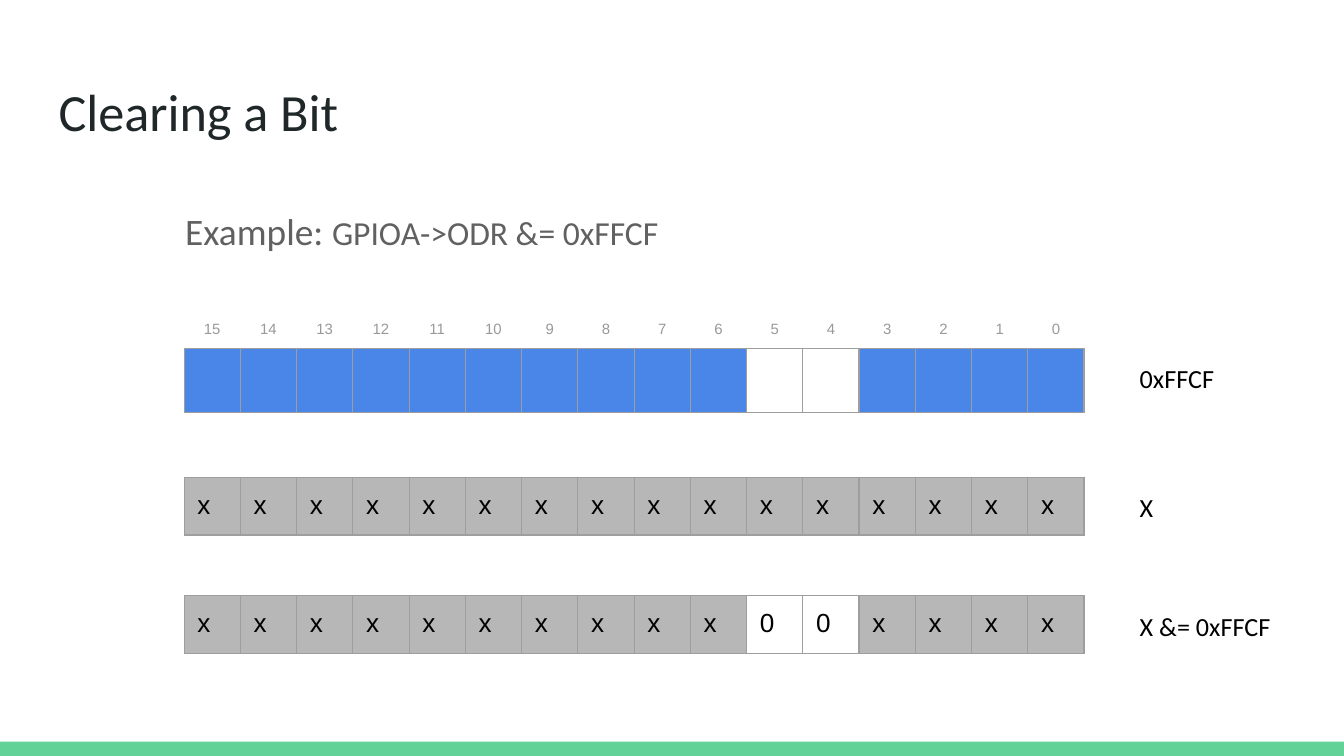
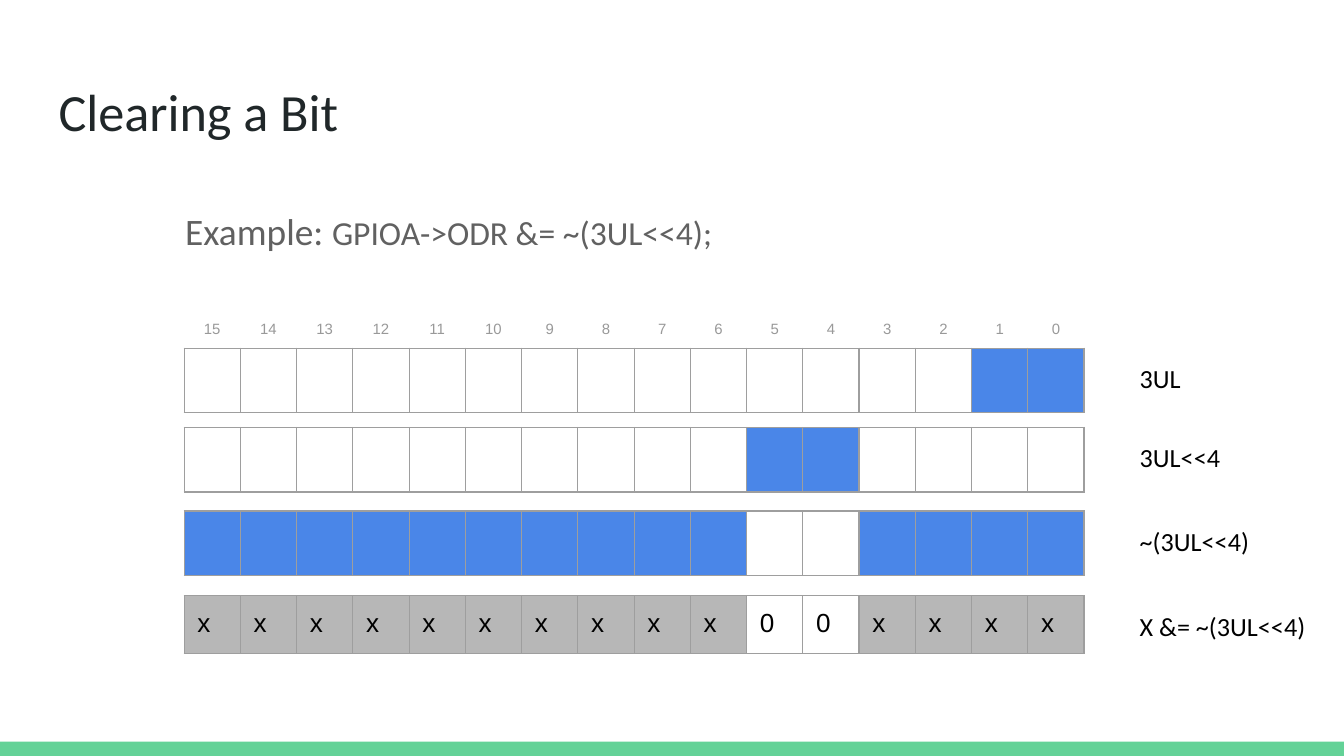
from lxml.etree import SubElement
from pptx import Presentation
from pptx.dml.color import RGBColor
from pptx.enum.shapes import MSO_SHAPE
from pptx.enum.text import MSO_ANCHOR, PP_ALIGN
from pptx.oxml.ns import qn
from pptx.util import Cm, Pt

BITS = 16
COLORS = {
    "background": "FFFFFF", "footer": "63D297", "title": "202729",
    "example": "616161", "set_bit": "4A86E8", "kept_bit": "B7B7B7",
    "border": "9E9E9E", "index": "999999", "text": "000000",
}
TITLE = "Clearing a Bit"

# Each register: top (cm), label, bits that are set or kept, kind of cells
SLIDES = [
    {"code": "GPIOA->ODR &= 0xFFCF",
     "registers": [
         (6.58, "0xFFCF", 0xFFCF, "mask"),
         (9.02, "X", 0xFFFF, "value"),
         (11.26, "X &= 0xFFCF", 0xFFCF, "value")]},
    {"code": "GPIOA->ODR &= ~(3UL<<4);",
     "registers": [
         (6.58, "3UL", 3, "mask"),
         (8.08, "3UL<<4", 3 << 4, "mask"),
         (9.66, "~(3UL<<4)", 0xFFCF, "mask"),
         (11.26, "X &= ~(3UL<<4)", 0xFFCF, "value")]},
]

WIDTH, HEIGHT = Cm(25.4), Cm(14.29)
FOOTER_HEIGHT = Cm(0.27)
TABLE_LEFT, TABLE_WIDTH = Cm(3.48), Cm(17.02)
INDEX_TOP = Cm(5.82)
ROW_HEIGHTS = {"mask": Cm(1.22), "value": Cm(1.07), "index": Cm(1.07)}
LABEL_LEFT, LABEL_DROP, LABEL_HEIGHT = Cm(21.29), Cm(0.02), Cm(1.07)
LABEL_WIDTH, RESULT_WIDTH = Cm(3.15), Cm(3.81)
INSET = Cm(0.25)


def rgb(name):
    return RGBColor.from_string(COLORS[name])


def style(font, size, color, name="Calibri"):
    font.size, font.name = Pt(size), name
    font.color.rgb = rgb(color)


def set_insets(target, vertical=INSET):
    target.margin_left = target.margin_right = INSET
    target.margin_top = target.margin_bottom = vertical


def add_text(page, place, spans, color):
    """Add a one-paragraph text box from (text, size) spans."""
    frame = page.shapes.add_textbox(*place).text_frame
    frame.word_wrap = True
    frame.vertical_anchor = MSO_ANCHOR.TOP
    set_insets(frame)
    para = frame.paragraphs[0]
    for text, size in spans:
        span = para.add_run()
        span.text = text
        style(span.font, size, color)
    return para


def set_borders(cell, color):
    """Give all four edges a thin line, or none when color is None."""
    properties = cell._tc.get_or_add_tcPr()
    for edge in ("a:lnL", "a:lnR", "a:lnT", "a:lnB"):
        line = SubElement(properties, qn(edge), w=str(Pt(0.75)))
        if color is None:
            SubElement(line, qn("a:noFill"))
        else:
            fill = SubElement(line, qn("a:solidFill"))
            SubElement(fill, qn("a:srgbClr"), val=COLORS[color])


def add_bit_row(page, top, kind, cells, size, color, border, align):
    """Add a one-row table from (text, fill name or None) cells."""
    height = ROW_HEIGHTS[kind]
    table = page.shapes.add_table(
        1, BITS, TABLE_LEFT, top, TABLE_WIDTH, height).table
    table.first_row = table.horz_banding = False
    for column, (text, fill) in enumerate(cells):
        table.columns[column].width = TABLE_WIDTH // BITS
        cell = table.cell(0, column)
        set_insets(cell, INSET if text else 0)
        set_borders(cell, border)
        if fill:
            cell.fill.solid()
            cell.fill.fore_color.rgb = rgb(fill)
        else:
            cell.fill.background()
        if text:
            para = cell.text_frame.paragraphs[0]
            para.text = text
            para.alignment = align
            style(para.runs[0].font, size, color, "Arial")


def add_register(page, top, bits, kind):
    set_text, clear_text, fill = {
        "mask": ("", "", "set_bit"),
        "value": ("x", "0", "kept_bit"),
    }[kind]
    cells = [(set_text, fill) if bits >> bit & 1 else (clear_text, None)
             for bit in reversed(range(BITS))]
    add_bit_row(page, top, kind, cells, 14, "text", "border", PP_ALIGN.LEFT)


def add_frame(page):
    """Draw the background, footer band and title that all slides share."""
    page.background.fill.solid()
    page.background.fill.fore_color.rgb = rgb("background")
    band = page.shapes.add_shape(
        MSO_SHAPE.RECTANGLE, 0, HEIGHT - FOOTER_HEIGHT, WIDTH, FOOTER_HEIGHT)
    band.shadow.inherit = False
    band.fill.solid()
    band.fill.fore_color.rgb = rgb("footer")
    band.line.fill.background()
    add_text(page, (Cm(0.86), Cm(1.24), Cm(23.67), Cm(1.6)),
             [(TITLE, 28)], "title")


def add_slide(deck, code, registers):
    page = deck.slides.add_slide(deck.slide_layouts[6])
    add_frame(page)
    example = add_text(page, (Cm(3.25), Cm(3.56), Cm(13.16), Cm(1.52)),
                       [("Example: ", 20), (code, 18)], "example")
    example.line_spacing = 1.15
    for number, (top, label, bits, kind) in enumerate(registers, 1):
        add_register(page, Cm(top), bits, kind)
        width = RESULT_WIDTH if number == len(registers) else LABEL_WIDTH
        add_text(page, (LABEL_LEFT, Cm(top) + LABEL_DROP, width, LABEL_HEIGHT),
                 [(label, 14)], "text")
    indexes = [(str(bit), None) for bit in reversed(range(BITS))]
    add_bit_row(page, INDEX_TOP, "index", indexes, 8, "index", None,
                PP_ALIGN.CENTER)


def main():
    deck = Presentation()
    deck.slide_width, deck.slide_height = WIDTH, HEIGHT
    for content in SLIDES:
        add_slide(deck, **content)
    deck.save("out.pptx")


if __name__ == "__main__":
    main()
